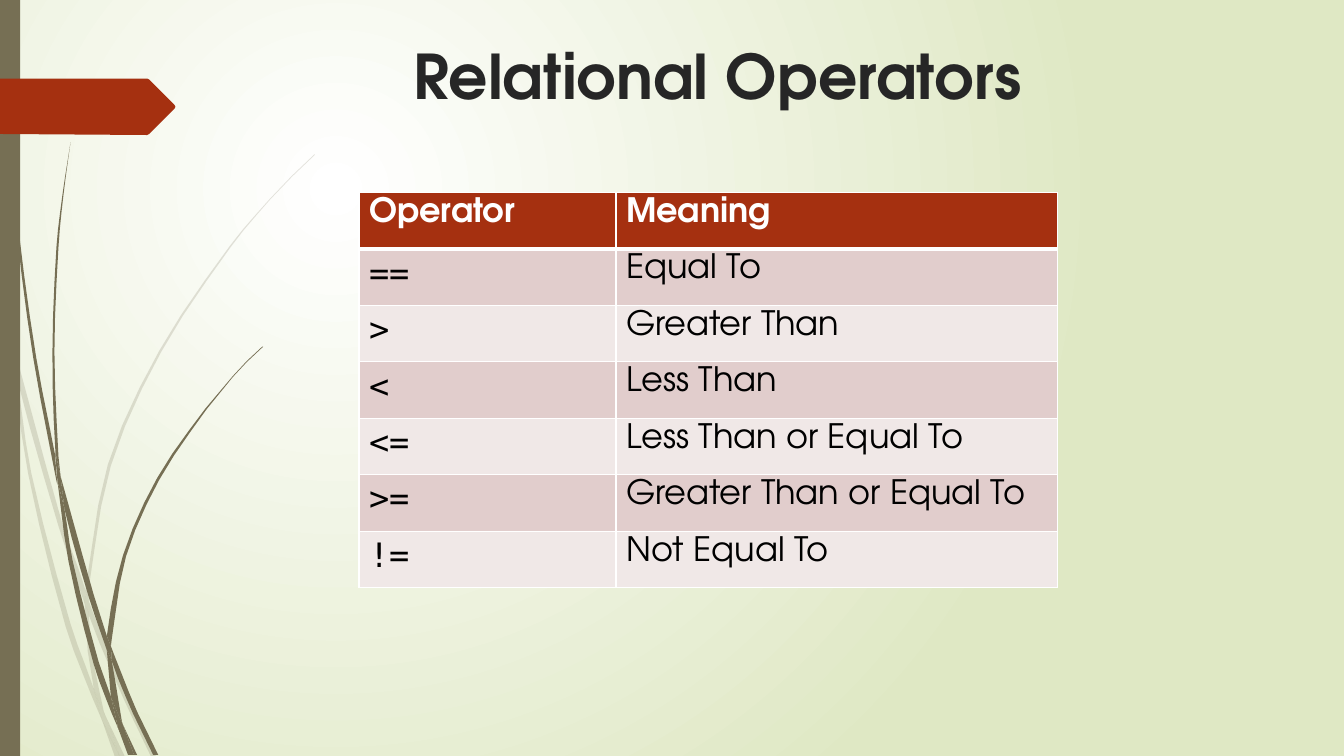
import math

import pptx
import pptx.dml.color
import pptx.enum.shapes
import pptx.enum.text
import pptx.oxml
import pptx.oxml.ns
import pptx.util
from pptx.util import Inches

COLORS = {"white": "FFFFFF", "sage": "DFE8C4", "olive": "766F54", "rust": "A53010",
          "ink": "262626", "black": "000000", "band_dark": "E1CDCC", "band_light": "F0E8E7"}
SANS, MONO = "TeX Gyre Adventor", "DejaVu Sans Mono"

TITLE = "Relational Operators"
HEADER = ("Operator", "Meaning")
OPERATORS = [("==", "Equal To"), (">", "Greater Than"), ("<", "Less Than"),
             ("<=", "Less Than or Equal To"), (">=", "Greater Than or Equal To"),
             ("!=", "Not Equal To")]
COLUMN_WIDTHS, ROW_HEIGHT = (2.55, 4.38), 0.56

# Outline points of the grass blades, in inches
PALE_GRASS = [
    [(.11, 3.5), (.09, 3.22), (0, 2.82), (0, 2.99), (.1, 3.44)],
    [(.58, 5.22), (.84, 5.99), (.85, 5.86), (.62, 5.2), (.14, 3.45), (.17, 3.76)],
    [(.92, 6.07), (.88, 5.96), (.88, 6.1), (1.23, 6.94), (1.5, 7.51), (1.55, 7.51), (1.27, 6.92)],
    [(1.19, 7.51), (1.24, 7.51), (1.05, 7.11)],
    [(.93, 6.83), (.7, 6.19), (.31, 4.69), (.17, 3.76), (.11, 3.5), (.28, 4.7), (.65, 6.21),
     (.92, 6.93), (1.01, 7.14), (.99, 7.07)],
    [(.84, 5.99), (.87, 6.46), (.93, 6.83), (.96, 6.92), (1.05, 7.11), (1.03, 7.06),
     (.91, 6.46), (.88, 6.1), (.88, 6.08)],
    [(.88, 5.84), (1.1, 4.62), (1.6, 3.49), (2.29, 2.45), (2.68, 1.98), (2.9, 1.75),
     (3.12, 1.54), (3.12, 1.53), (2.89, 1.75), (2.68, 1.97), (2.28, 2.44), (1.58, 3.48),
     (1.07, 4.61), (.85, 5.84), (.85, 5.86), (.88, 5.96)],
    [(1.01, 7.14), (1.14, 7.51), (1.19, 7.51)],
    [(.88, 6.08), (.88, 6.1), (.88, 5.96), (.85, 5.86), (.84, 5.99)],
    [(.96, 6.92), (.93, 6.83), (.99, 7.07), (1.01, 7.14), (1.19, 7.51), (1.05, 7.11)],
]
DARK_GRASS = [
    [(.07, 1.1), (.17, 2.33), (.33, 3.55), (.56, 4.77), (.57, 4.81), (.55, 4.57), (.55, 4.53),
     (.36, 3.55), (.19, 2.32), (.08, 1.09), (.05, .48), (.04, 0), (.03, 0), (.04, .48)],
    [(.88, 5.92), (1.06, 6.45), (1.06, 6.31), (.93, 5.9), (.6, 4.72), (.64, 5.05)],
    [(1.13, 6.49), (1.1, 6.41), (1.11, 6.56), (1.32, 7.08), (1.52, 7.49), (1.57, 7.49),
     (1.36, 7.06)],
    [(1.1, 6.91), (.98, 6.57), (.72, 5.56), (.64, 5.05), (.57, 4.77), (.68, 5.57), (.93, 6.59),
     (1.11, 7.08), (1.17, 7.22), (1.16, 7.17)],
    [(.6, 4.72), (.58, 4.53), (.54, 3.49), (.58, 2.45), (.63, 1.93), (.7, 1.41), (.62, 1.93),
     (.56, 2.45), (.52, 3.49), (.55, 4.49)],
    [(1.33, 7.49), (1.36, 7.49), (1.22, 7.19)],
    [(.57, 4.77), (.64, 5.05), (.6, 4.72), (.55, 4.49), (.55, 4.53)],
    [(1.11, 6.33), (1.25, 5.52), (1.58, 4.76), (2.05, 4.06), (2.31, 3.74), (2.45, 3.59),
     (2.61, 3.44), (2.6, 3.44), (2.45, 3.58), (2.31, 3.73), (2.04, 4.05), (1.56, 4.74),
     (1.22, 5.51), (1.06, 6.31), (1.1, 6.41)],
    [(1.17, 7.22), (1.27, 7.49), (1.31, 7.49)],
    [(1.06, 6.45), (1.1, 6.91), (1.16, 7.06), (1.22, 7.19), (1.21, 7.16), (1.11, 6.56),
     (1.09, 6.51)],
    [(1.06, 6.45), (1.09, 6.51), (1.11, 6.56), (1.1, 6.41), (1.06, 6.31)],
    [(1.16, 7.06), (1.1, 6.91), (1.16, 7.17), (1.17, 7.22), (1.3, 7.49), (1.33, 7.49),
     (1.22, 7.19)],
]
PAGE_ARROW = [(0, .78), (1.46, .78), (1.48, .79), (1.73, 1.04), (1.74, 1.06), (1.73, 1.08),
              (1.48, 1.33), (1.46, 1.34), (0, 1.33)]


def rgb(name):
    return pptx.dml.color.RGBColor.from_string(COLORS[name])


def write(frame, text, size=24, font=SANS, color="black", bold=False, align=None):
    paragraph = frame.paragraphs[0]
    paragraph.alignment = align
    run = paragraph.add_run()
    run.text = text
    run.font.size, run.font.name, run.font.bold = pptx.util.Pt(size), font, bold
    run.font.color.rgb = rgb(color)


def add_xml(parent, tag, inner="", **attributes):
    listed = " ".join(f'{key}="{value}"' for key, value in attributes.items())
    parent.append(pptx.oxml.parse_xml(
        f'<a:{tag} {pptx.oxml.ns.nsdecls("a")} {listed}>{inner}</a:{tag}>'))


def paint(shape, color, opacity=100):
    shape.shadow.inherit = False
    shape.fill.solid()
    shape.fill.fore_color.rgb = rgb(color)
    shape.line.fill.background()
    if opacity < 100:
        add_xml(shape.fill._xPr.find(".//" + pptx.oxml.ns.qn("a:srgbClr")), "alpha",
                val=opacity * 1000)


def smooth(points):
    """Bend the long sides of an outline, keeping sharp tips."""
    count = len(points)

    def direction(index):
        (ax, ay), (bx, by), (cx, cy) = (points[(index + k) % count] for k in (-1, 0, 1))
        turn = math.atan2(cy - by, cx - bx) - math.atan2(by - ay, bx - ax)
        length = math.hypot(cx - ax, cy - ay)
        if math.cos(turn) < 0.8:
            return None
        return (cx - ax) / length, (cy - ay) / length

    curve = []
    for i, (x0, y0) in enumerate(points):
        x3, y3 = points[(i + 1) % count]
        side = math.hypot(x3 - x0, y3 - y0)
        reach, steps = side / 3, 3 if side > 0.5 else 1
        chord = ((x3 - x0) / side, (y3 - y0) / side)
        (ux, uy), (vx, vy) = direction(i) or chord, direction((i + 1) % count) or chord
        for t in (step / steps for step in range(steps)):
            a, b, c, d = (1 - t) ** 3, 3 * t * (1 - t) ** 2, 3 * t * t * (1 - t), t ** 3
            curve.append((a * x0 + b * (x0 + ux * reach) + c * (x3 - vx * reach) + d * x3,
                          a * y0 + b * (y0 + uy * reach) + c * (y3 - vy * reach) + d * y3))
    return curve


def add_outline(shapes, points, color, opacity=100):
    corners = [(Inches(x), Inches(y)) for x, y in points]
    builder = shapes.build_freeform(*corners[0], scale=1.0)
    builder.add_line_segments(corners[1:], close=True)
    paint(builder.convert_to_shape(), color, opacity)


deck = pptx.Presentation()
deck.slide_width, deck.slide_height = Inches(13.33), Inches(7.5)
slide = deck.slides.add_slide(deck.slide_layouts[5])

# Background: radial glow from the upper left
glow = slide.background.fill
glow.gradient()
for stop, color in zip(glow.gradient_stops, ("white", "sage")):
    stop.color.rgb = rgb(color)
gradient = slide.element.find(".//" + pptx.oxml.ns.qn("a:gradFill"))
gradient.remove(gradient.find(pptx.oxml.ns.qn("a:lin")))
add_xml(gradient, "path", '<a:fillToRect l="50000" t="50000" r="100000" b="100000"/>',
        path="circle")

# Grass, side bar and page arrow
for blades, opacity in ((PALE_GRASS, 20), (DARK_GRASS, 100)):
    tuft = slide.shapes.add_group_shape()
    for blade in blades:
        add_outline(tuft.shapes, smooth(blade), "olive", opacity)
side_bar = slide.shapes.add_shape(pptx.enum.shapes.MSO_SHAPE.RECTANGLE, 0, 0,
                                  Inches(0.2), Inches(7.5))
paint(side_bar, "olive")
add_outline(slide.shapes, PAGE_ARROW, "rust")

# Title
title = slide.shapes.title
title.left, title.top, title.width, title.height = map(Inches, (2.24, 0.33, 9.75, 1.4))
title.text_frame.vertical_anchor = pptx.enum.text.MSO_ANCHOR.TOP
write(title.text_frame, TITLE, size=44, color="ink", bold=True,
      align=pptx.enum.text.PP_ALIGN.CENTER)

# Operator table
rows = [HEADER] + OPERATORS
table = slide.shapes.add_table(len(rows), len(HEADER), Inches(3.56), Inches(1.91),
                               Inches(sum(COLUMN_WIDTHS)), Inches(ROW_HEIGHT * len(rows))).table
for column, width in zip(table.columns, COLUMN_WIDTHS):
    column.width = Inches(width)
for r, row in enumerate(rows):
    for c, text in enumerate(row):
        cell, header = table.cell(r, c), r == 0
        write(cell.text_frame, text, font=MONO if c == 0 and not header else SANS,
              color="white" if header else "black", bold=header)
        for side in ("lnL", "lnR", "lnT", "lnB"):
            thick = (header and side == "lnB") or (r == 1 and side == "lnT")
            add_xml(cell._tc.get_or_add_tcPr(), side,
                    f'<a:solidFill><a:srgbClr val="{COLORS["white"]}"/></a:solidFill>',
                    w=pptx.util.Pt(3 if thick else 1))
        cell.fill.solid()
        cell.fill.fore_color.rgb = rgb("rust" if header else
                                       "band_dark" if r % 2 else "band_light")

deck.save("out.pptx")
